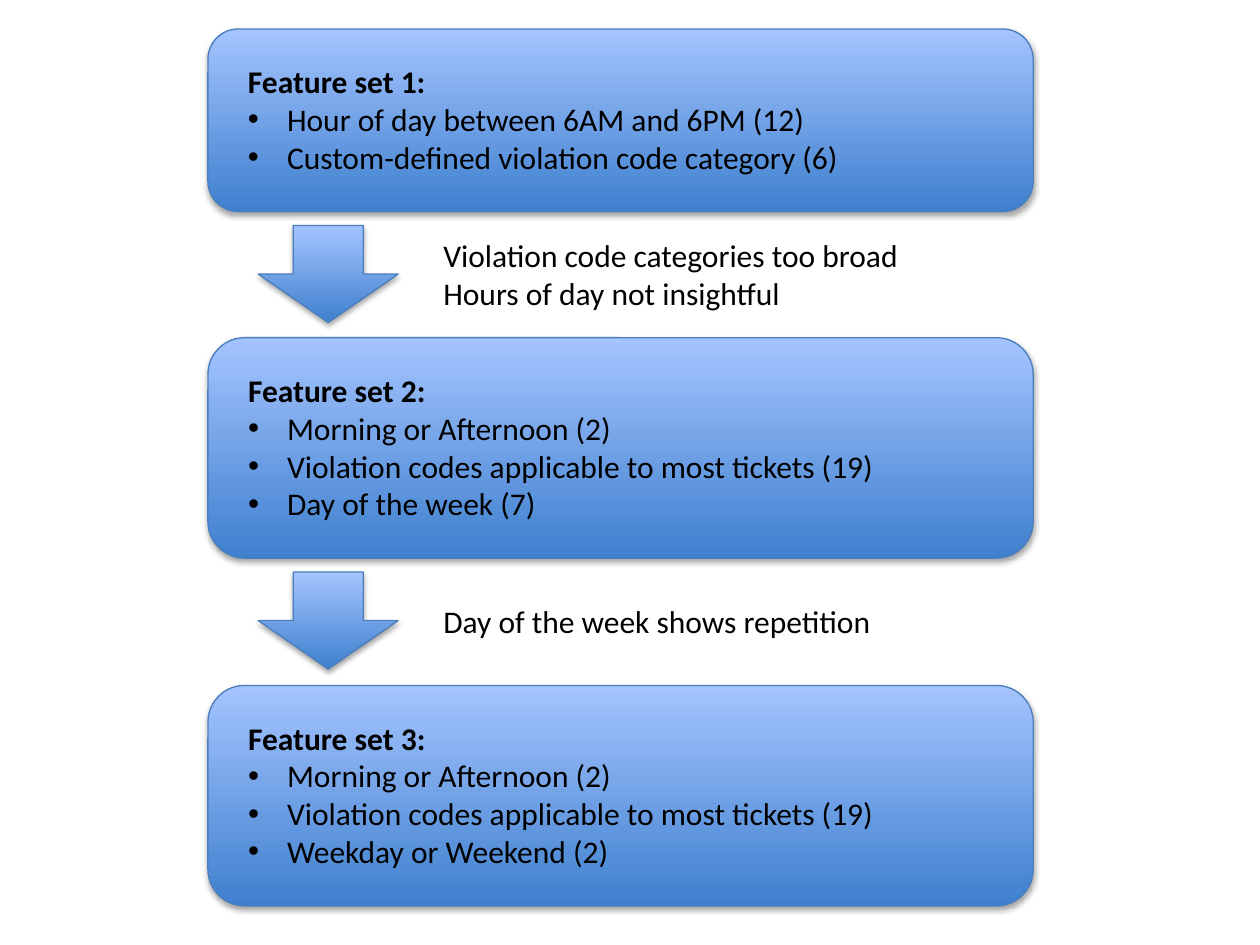
from dataclasses import dataclass

from lxml import etree
from pptx import Presentation
from pptx import util as u
from pptx.dml.color import RGBColor
from pptx.enum import shapes, text
from pptx.oxml import ns

DEEP_BLUE = RGBColor(0x3F, 0x80, 0xCE)
LIGHT_BLUE = RGBColor(0xA4, 0xC4, 0xFF)
EDGE_BLUE = RGBColor(0x4B, 0x7E, 0xBC)
BLACK = RGBColor(0, 0, 0)

PANEL_LEFT, PANEL_WIDTH = 1.65, 6.55
ARROW_LEFT, ARROW_WIDTH, ARROW_HEIGHT = 2.05, 1.11, 0.77
ARROW_GAP = 0.11
LINE_HEIGHT, TEXT_MARGINS = 0.3, 0.1


@dataclass(frozen=True)
class FeatureSet:
    title: str
    features: tuple[str, ...]
    top: float
    height: float
    text_width: float


@dataclass(frozen=True)
class Drawback:
    reasons: tuple[str, ...]
    width: float


FEATURE_SETS = (
    FeatureSet("Feature set 1: ", (
        "Hour of day between 6AM and 6PM (12)",
        "Custom-defined violation code category (6)",
    ), 0.23, 1.45, 5.07),
    FeatureSet("Feature set 2: ", (
        "Morning or Afternoon (2)",
        "Violation codes applicable to most tickets (19)",
        "Day of the week (7)",
    ), 2.68, 1.75, 5.22),
    FeatureSet("Feature set 3: ", (
        "Morning or Afternoon (2)",
        "Violation codes applicable to most tickets (19)",
        "Weekday or Weekend (2)",
    ), 5.44, 1.75, 5.22),
)
DRAWBACKS = (
    Drawback(("Violation code categories too broad", "Hours of day not insightful"), 3.87),
    Drawback(("Day of the week shows repetition",), 3.64),
)


def add_glossy(slide, preset, left: float, top: float, width: float, height: float) -> None:
    glossy = slide.shapes.add_shape(
        preset, u.Inches(left), u.Inches(top), u.Inches(width), u.Inches(height))
    glossy.fill.gradient()
    glossy.fill.gradient_angle = 90
    for stop, color, position in zip(
            glossy.fill.gradient_stops, (DEEP_BLUE, LIGHT_BLUE), (0, 1)):
        stop.color.rgb = color
        stop.position = position
    glossy.line.color.rgb = EDGE_BLUE
    glossy.line.width = u.Pt(0.75)
    glossy.shadow.inherit = False
    effects = glossy._element.spPr.find(ns.qn("a:effectLst"))
    shadow = etree.SubElement(
        effects, ns.qn("a:outerShdw"), blurRad=str(u.Pt(3.1)), dist=str(u.Pt(1.8)),
        dir="5400000", rotWithShape="0")
    tint = etree.SubElement(shadow, ns.qn("a:srgbClr"), val=str(BLACK))
    etree.SubElement(tint, ns.qn("a:alpha"), val="35000")


def add_bullet(paragraph) -> None:
    properties = paragraph._p.get_or_add_pPr()
    properties.set("marL", str(u.Inches(0.31)))
    properties.set("indent", str(u.Inches(-0.31)))
    font = etree.SubElement(properties, ns.qn("a:buFont"))
    font.set("typeface", "Arial")
    etree.SubElement(properties, ns.qn("a:buChar"), char="•")


def add_lines(slide, left: float, middle: float, width: float,
              lines: tuple[str, ...], titled: bool = False) -> None:
    height = len(lines) * LINE_HEIGHT + TEXT_MARGINS
    box = slide.shapes.add_textbox(
        u.Inches(left), u.Inches(middle - height / 2), u.Inches(width), u.Inches(height))
    frame = box.text_frame
    frame.word_wrap = False
    frame.auto_size = text.MSO_AUTO_SIZE.SHAPE_TO_FIT_TEXT
    frame.text = "\n".join(lines)
    for index, paragraph in enumerate(frame.paragraphs):
        if titled and index > 0:
            add_bullet(paragraph)
        paragraph.font.name = "Calibri"
        paragraph.font.size = u.Pt(18)
        paragraph.font.bold = titled and index == 0
        paragraph.font.color.rgb = BLACK


def main() -> None:
    deck = Presentation()
    deck.slide_width, deck.slide_height = u.Inches(10), u.Inches(7.5)
    slide = deck.slides.add_slide(deck.slide_layouts[6])

    for feature_set in FEATURE_SETS:
        add_glossy(slide, shapes.MSO_SHAPE.ROUNDED_RECTANGLE,
                   PANEL_LEFT, feature_set.top, PANEL_WIDTH, feature_set.height)
        add_lines(slide, 1.87, feature_set.top + feature_set.height / 2 - 0.01,
                  feature_set.text_width,
                  (feature_set.title, *feature_set.features), titled=True)

    for feature_set, drawback in zip(FEATURE_SETS, DRAWBACKS):
        arrow_top = feature_set.top + feature_set.height + ARROW_GAP
        add_glossy(slide, shapes.MSO_SHAPE.DOWN_ARROW,
                   ARROW_LEFT, arrow_top, ARROW_WIDTH, ARROW_HEIGHT)
        add_lines(slide, 3.42, arrow_top + ARROW_HEIGHT / 2, drawback.width, drawback.reasons)

    deck.save("out.pptx")


main()
